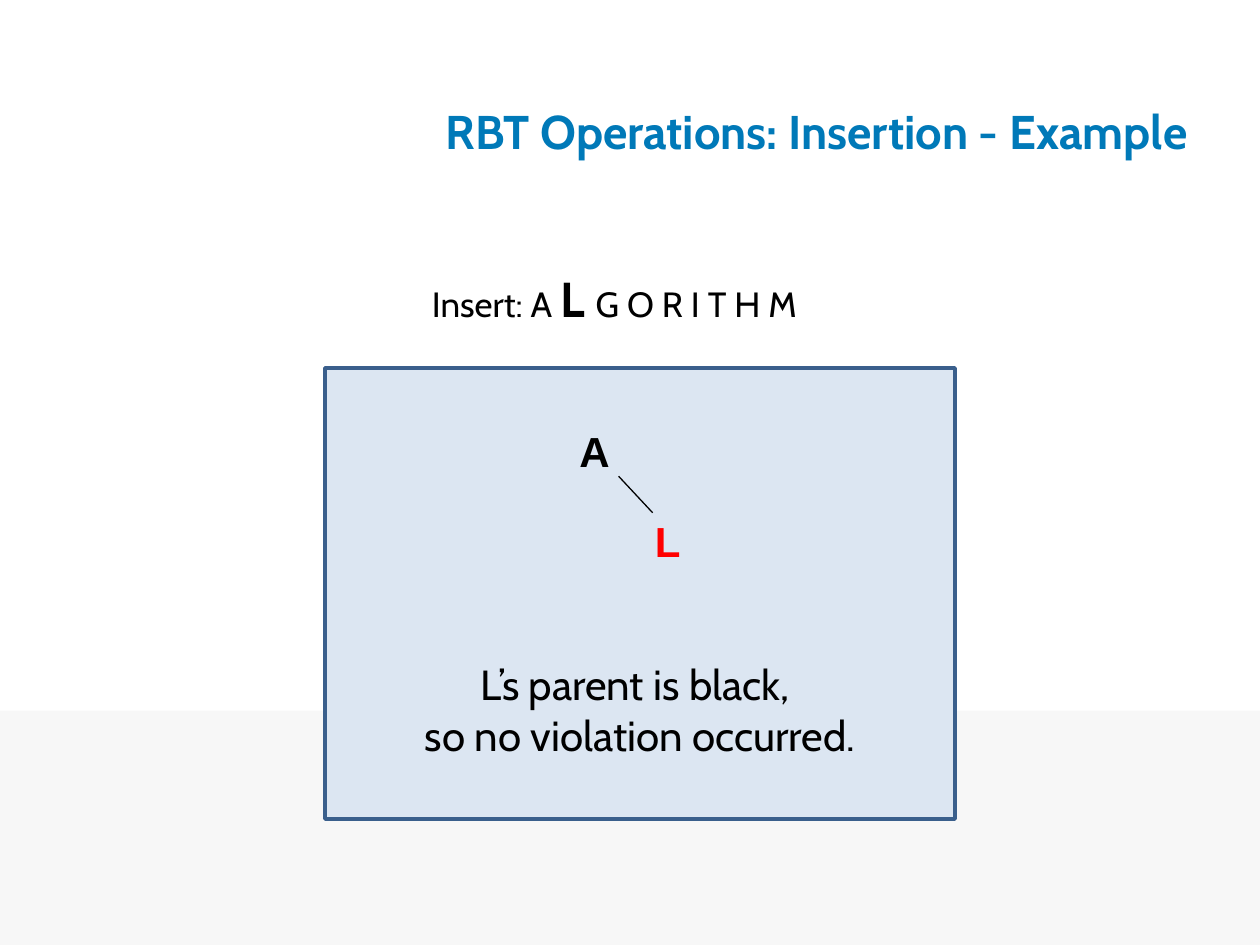
from dataclasses import dataclass

from lxml import etree
from pptx import Presentation
from pptx.dml.color import RGBColor
from pptx.enum.shapes import MSO_CONNECTOR, MSO_SHAPE
from pptx.enum.text import MSO_ANCHOR, MSO_AUTO_SIZE, PP_ALIGN
from pptx.oxml.ns import qn
from pptx.util import Inches, Pt

LINE, RECT = MSO_CONNECTOR.STRAIGHT, MSO_SHAPE.RECTANGLE
LEFT, CENTER = PP_ALIGN.LEFT, PP_ALIGN.CENTER
TOP, MIDDLE = MSO_ANCHOR.TOP, MSO_ANCHOR.MIDDLE
GROW, FIXED = MSO_AUTO_SIZE.SHAPE_TO_FIT_TEXT, MSO_AUTO_SIZE.NONE
COLS, ROWS = 100, 75
UNIT = Inches(10) / COLS


@dataclass(frozen=True)
class Theme:
    """Colours, fonts and type sizes of the slide."""
    blue: str = "0079B8"
    black: str = "000000"
    red: str = "FF0000"
    band: str = "F7F7F7"
    panel: str = "DCE6F2"
    edge: str = "3A5F8C"
    font: str = "Cabin"
    node: str = "Arial"
    title: int = 27
    big: int = 28
    body: int = 24
    small: int = 20


@dataclass(frozen=True)
class Box:
    """A rectangle counted in grid columns and rows."""
    x: float
    y: float
    w: float
    h: float

    def inner(self, x, y, w, h):
        """Return a box placed relative to this one."""
        return Box(self.x + x, self.y + y, w, h)

    def place(self):
        """Return left, top, width and height as lengths."""
        return [round(v * UNIT) for v in (self.x, self.y, self.w, self.h)]


THEME = Theme()


def paint(color):
    """Turn a hex string into a colour."""
    return RGBColor.from_string(color)


def write(shape, lines, size=THEME.body, color=THEME.black, font=THEME.font,
          bold=False, align=LEFT, anchor=TOP, wrap=False, fit=GROW):
    """Fill a shape with lines of (text, changes) runs in one format."""
    frame = shape.text_frame
    frame.word_wrap, frame.auto_size = wrap, fit
    frame.vertical_anchor = anchor
    for i, line in enumerate(lines):
        para = frame.add_paragraph() if i else frame.paragraphs[0]
        para.alignment = align
        for text, change in line:
            run = para.add_run()
            run.text = text
            run.font.name = font
            run.font.size = Pt(change.get("size", size))
            run.font.bold = change.get("bold", bold)
            run.font.color.rgb = paint(color)


def block(shapes, box, fill, edge=None):
    """Draw a flat rectangle with an optional outline."""
    shape = shapes.add_shape(RECT, *box.place())
    shape.shadow.inherit = False
    shape.fill.solid()
    shape.fill.fore_color.rgb = paint(fill)
    if edge:
        shape.line.color.rgb = paint(edge)
        shape.line.width = Pt(2)
    else:
        shape.line.fill.background()


def link(shapes, box):
    """Draw a thin line down the diagonal of a box."""
    x, y, w, h = box.place()
    line = shapes.add_connector(LINE, x, y, x + w, y + h)
    line.line.color.rgb = paint(THEME.black)
    line.line.width = Pt(0.75)
    etree.SubElement(line._element.spPr, qn("a:effectLst"))


def head(slide, box):
    """Place and format the title."""
    title = slide.shapes.title
    title.left, title.top, title.width, title.height = box.place()
    write(title, [[("RBT Operations: Insertion - Example", {})]],
          size=THEME.title, color=THEME.blue, bold=True, align=CENTER,
          anchor=MIDDLE, wrap=True, fit=FIXED)


def tree(slide, box):
    """Draw the two nodes and the edge between them."""
    group = slide.shapes.add_group_shape().shapes
    nodes = (("A", THEME.black, box.inner(0, 0, 4.4, 5)),
             ("L", THEME.red, box.inner(6, 7.1, 4, 5)))
    for name, color, spot in nodes:
        node = group.add_textbox(*spot.place())
        write(node, [[(name, {})]], color=color, font=THEME.node, bold=True)
    link(group, box.inner(4.1, 4.5, 2.7, 2.9))


def panel(slide, box):
    """Draw the panel with its tree and remark."""
    block(slide.shapes, box, THEME.panel, THEME.edge)
    tree(slide, box.inner(19.2, 4.1, 10, 12.1))
    note = slide.shapes.add_textbox(*box.inner(0, 22.6, box.w, 9.1).place())
    write(note, [[("L’s parent is black, ", {})],
                 [("so no violation occurred.", {})]],
          align=CENTER, wrap=True)


def keys(slide, box):
    """Write the keys to insert, with the current one enlarged."""
    text = slide.shapes.add_textbox(*box.place())
    write(text, [[("Insert: A ", {}),
                  ("L ", {"size": THEME.big, "bold": True}),
                  ("G O R I T H M", {})]], size=THEME.small)


def main():
    """Build and save the slide."""
    deck = Presentation()
    deck.slide_width, deck.slide_height = round(COLS * UNIT), round(ROWS * UNIT)
    slide = deck.slides.add_slide(deck.slide_layouts[5])
    page = Box(0, 0, COLS, ROWS)
    block(slide.shapes, page.inner(0, 56.4, COLS, 18.6), THEME.band)
    panel(slide, page.inner(25.8, 29.2, 50, 35.8))
    head(slide, page.inner(30.8, 6, 68, 8.7))
    keys(slide, page.inner(33.3, 20.8, 34.7, 5.7))
    deck.save("out.pptx")


if __name__ == "__main__":
    main()
